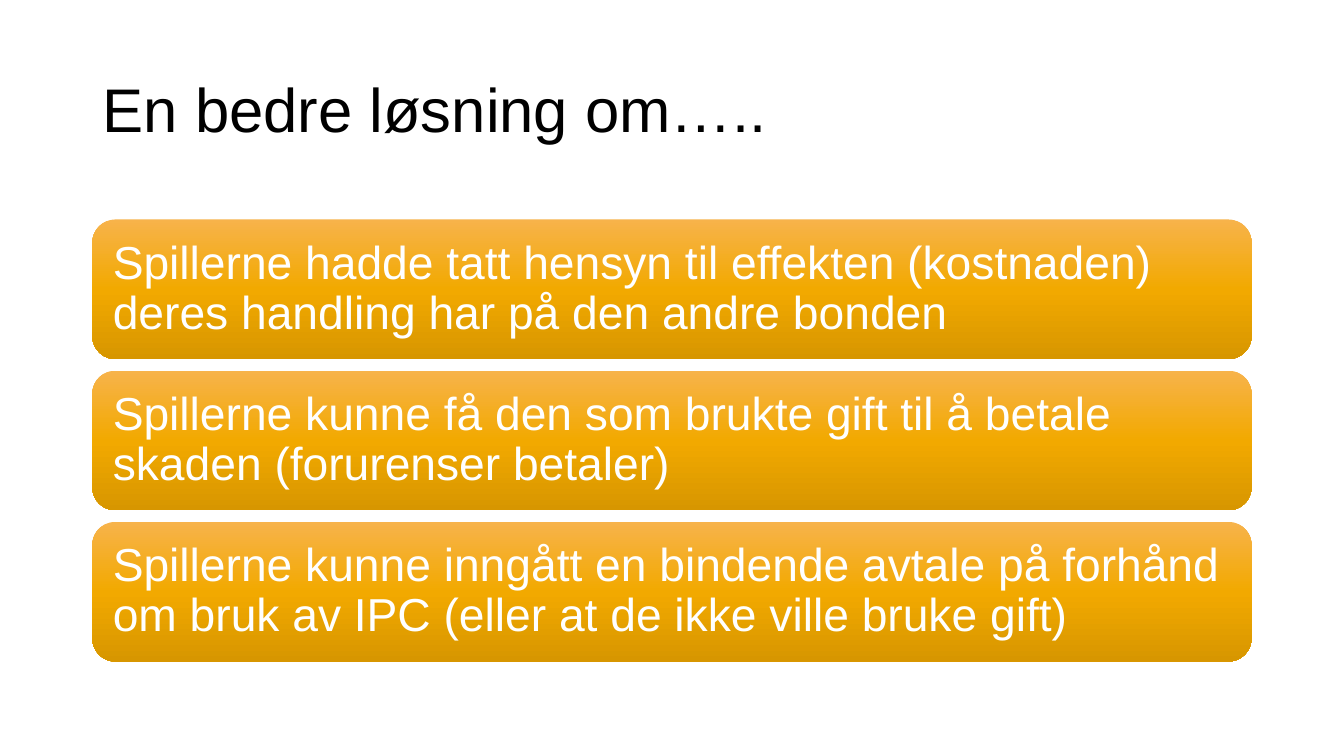
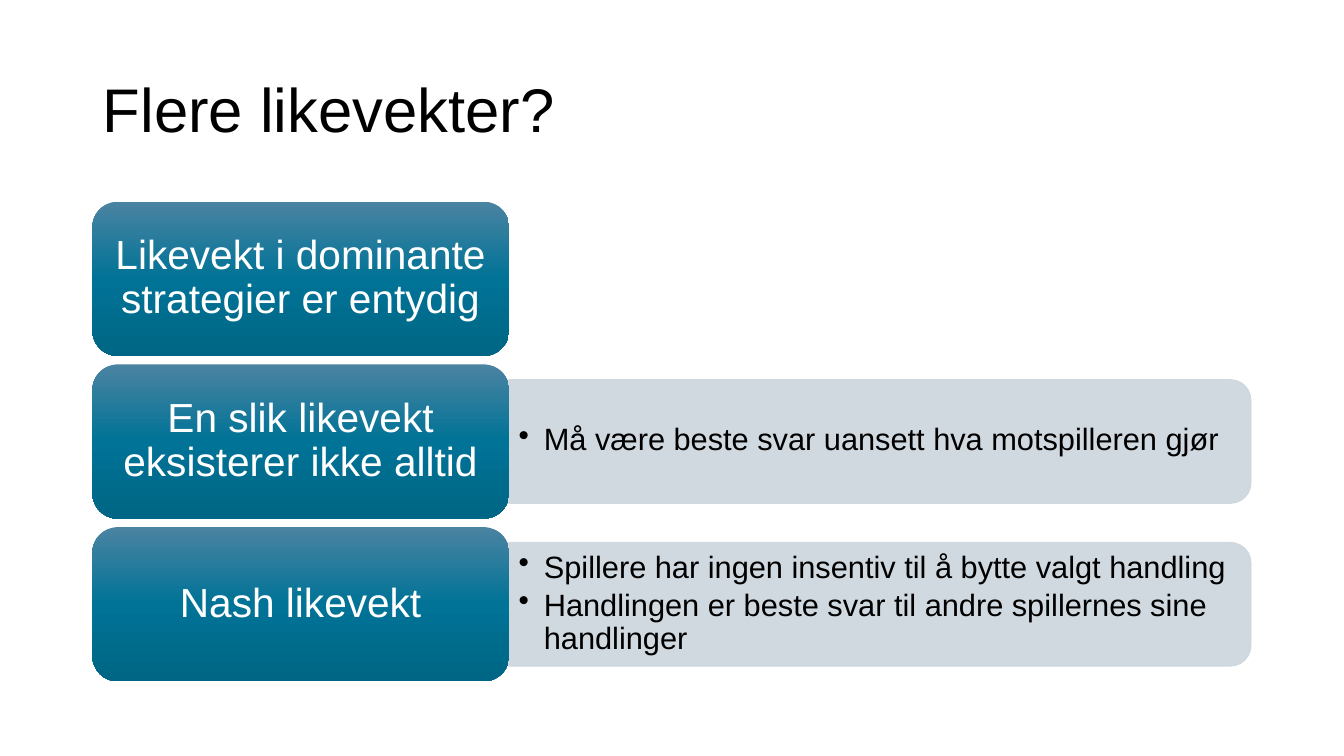
import copy
from dataclasses import dataclass

import pptx
import pptx.dml.color
import pptx.enum.shapes
import pptx.enum.text
import pptx.oxml
import pptx.oxml.ns
import pptx.presentation
import pptx.shapes.autoshape
import pptx.slide
import pptx.text.text
import pptx.util

EMU_PER_PX = 9525
FONT = "Arial"
LINE_SPACING = 0.9
COLORS = {
    "title": "000000",
    "card_text": "FFFFFF",
    "orange_top": "F7B34B",
    "orange": "F2A900",
    "orange_bottom": "D79600",
    "blue_top": "4B83A2",
    "blue": "007396",
    "blue_bottom": "006685",
    "detail": "CCD5DD",
    "detail_text": "000000",
}
ALIGN = pptx.enum.text.PP_ALIGN
SHAPE = pptx.enum.shapes.MSO_SHAPE

# Shared column, in px
LEFT, WIDTH = 88, 1104


@dataclass(frozen=True)
class Box:
    left: int
    top: int
    width: int
    height: int

    def emu(self) -> tuple[int, ...]:
        return tuple(px(n) for n in (self.left, self.top, self.width, self.height))


@dataclass(frozen=True)
class CardStyle:
    """Look and stacking of one column of rounded cards."""
    hue: str
    top: int
    width: int
    height: int
    pitch: int
    inset_x: int
    inset_y: int
    size: int
    align: ALIGN

    def box(self, row: int) -> Box:
        return Box(LEFT, self.top + row * self.pitch, self.width, self.height)


@dataclass(frozen=True)
class Row:
    heading: str
    details: tuple[str, ...] = ()


STATEMENT = CardStyle("orange", 209, WIDTH, 133, 144, 13, 13, 33, ALIGN.LEFT)
TOPIC = CardStyle("blue", 192, 397, 147, 155, 12, 6, 29, ALIGN.CENTER)
DETAIL_HEIGHT, DETAIL_SIZE, DETAIL_INDENT = 118, 22, 24

SLIDES = (
    ("En bedre løsning om…..", STATEMENT, (
        Row("Spillerne hadde tatt hensyn til effekten (kostnaden) deres handling har på den andre bonden"),
        Row("Spillerne kunne få den som brukte gift til å betale skaden (forurenser betaler)"),
        Row("Spillerne kunne inngått en bindende avtale på forhånd om bruk av IPC (eller at de ikke ville bruke gift)"),
    )),
    ("Flere likevekter?", TOPIC, (
        Row("Likevekt i dominante strategier er entydig"),
        Row("En slik likevekt eksisterer ikke alltid",
            ("Må være beste svar uansett hva motspilleren gjør",)),
        Row("Nash likevekt",
            ("Spillere har ingen insentiv til å bytte valgt handling",
             "Handlingen er beste svar til andre spillernes sine handlinger")),
    )),
)


def px(length: int) -> int:
    return length * EMU_PER_PX


def rgb(name: str) -> pptx.dml.color.RGBColor:
    return pptx.dml.color.RGBColor.from_string(COLORS[name])


# Text
def write(frame: pptx.text.text.TextFrame, texts: tuple[str, ...], size: int,
          color: str, inset_x: int, inset_y: int, align: ALIGN = ALIGN.LEFT,
          bullets: bool = False) -> None:
    frame.word_wrap = True
    frame.vertical_anchor = pptx.enum.text.MSO_ANCHOR.MIDDLE
    frame.margin_left = frame.margin_right = px(inset_x)
    frame.margin_top = frame.margin_bottom = px(inset_y)
    for index, text in enumerate(texts):
        paragraph = frame.add_paragraph() if index else frame.paragraphs[0]
        paragraph.text = text
        paragraph.alignment = align
        paragraph.line_spacing = LINE_SPACING
        if bullets:
            paragraph.space_after = pptx.util.Pt(3.3)
            add_bullet(paragraph)
        paragraph.font.name = FONT
        paragraph.font.size = pptx.util.Pt(size)
        paragraph.font.color.rgb = rgb(color)


def add_bullet(paragraph: pptx.text.text._Paragraph) -> None:
    properties = paragraph._p.get_or_add_pPr()
    properties.set("marL", str(px(DETAIL_INDENT)))
    properties.set("indent", str(-px(DETAIL_INDENT)))
    bullet = pptx.oxml.parse_xml(f'<a:buChar {pptx.oxml.ns.nsdecls("a")} char="•"/>')
    properties.append(bullet)


# Fills
def fill_gradient(shape: pptx.shapes.autoshape.Shape, hue: str) -> None:
    shape.fill.gradient()
    shape.fill.gradient_angle = 270
    stop_list = shape._element.spPr.find(".//" + pptx.oxml.ns.qn("a:gsLst"))
    stop_list.append(copy.deepcopy(stop_list[0]))
    names = (f"{hue}_top", hue, f"{hue}_bottom")
    for stop, position, name in zip(shape.fill.gradient_stops, (0, 0.5, 1), names):
        stop.position = position
        stop.color.rgb = rgb(name)


def fill_translucent(shape: pptx.shapes.autoshape.Shape, color: str) -> None:
    shape.fill.solid()
    shape.fill.fore_color.rgb = rgb(color)
    shape.line.color.rgb = rgb(color)
    shape.line.width = pptx.util.Pt(0.5)
    for element in shape._element.spPr.iter(pptx.oxml.ns.qn("a:srgbClr")):
        element.append(pptx.oxml.parse_xml(
            f'<a:alpha {pptx.oxml.ns.nsdecls("a")} val="90000"/>'))


# Slide parts
def add_title(slide: pptx.slide.Slide, text: str) -> None:
    title = slide.shapes.add_textbox(*Box(LEFT, 38, WIDTH, 139).emu())
    write(title.text_frame, (text,), 44, "title", 10, 5)


def add_card(slide: pptx.slide.Slide, style: CardStyle, box: Box, text: str) -> None:
    card = slide.shapes.add_shape(SHAPE.ROUNDED_RECTANGLE, *box.emu())
    card.shadow.inherit = False
    card.line.fill.background()
    fill_gradient(card, style.hue)
    write(card.text_frame, (text,), style.size, "card_text",
          style.inset_x, style.inset_y, style.align)


def add_details(slide: pptx.slide.Slide, card: Box, texts: tuple[str, ...]) -> None:
    left = card.left + card.width
    width = LEFT + WIDTH - left
    top = card.top + (card.height - DETAIL_HEIGHT) // 2
    # The panel is turned a quarter so that its rounded end faces right
    shift = (width - DETAIL_HEIGHT) // 2
    upright = Box(left + shift, top - shift, DETAIL_HEIGHT, width)
    panel = slide.shapes.add_shape(SHAPE.ROUND_2_SAME_RECTANGLE, *upright.emu())
    panel.rotation = 90
    panel.shadow.inherit = False
    fill_translucent(panel, "detail")
    text_box = slide.shapes.add_textbox(
        *Box(left, top + 6, width - 6, DETAIL_HEIGHT - 12).emu())
    write(text_box.text_frame, texts, DETAIL_SIZE, "detail_text", 9, 5, bullets=True)


def add_slide(presentation: pptx.presentation.Presentation, title: str,
              style: CardStyle, rows: tuple[Row, ...]) -> None:
    slide = presentation.slides.add_slide(presentation.slide_layouts[6])
    add_title(slide, title)
    for index, row in enumerate(rows):
        box = style.box(index)
        if row.details:
            add_details(slide, box, row.details)
        add_card(slide, style, box, row.heading)


def main() -> None:
    presentation = pptx.Presentation()
    presentation.slide_width, presentation.slide_height = px(1280), px(720)
    for title, style, rows in SLIDES:
        add_slide(presentation, title, style, rows)
    presentation.save("out.pptx")


if __name__ == "__main__":
    main()
